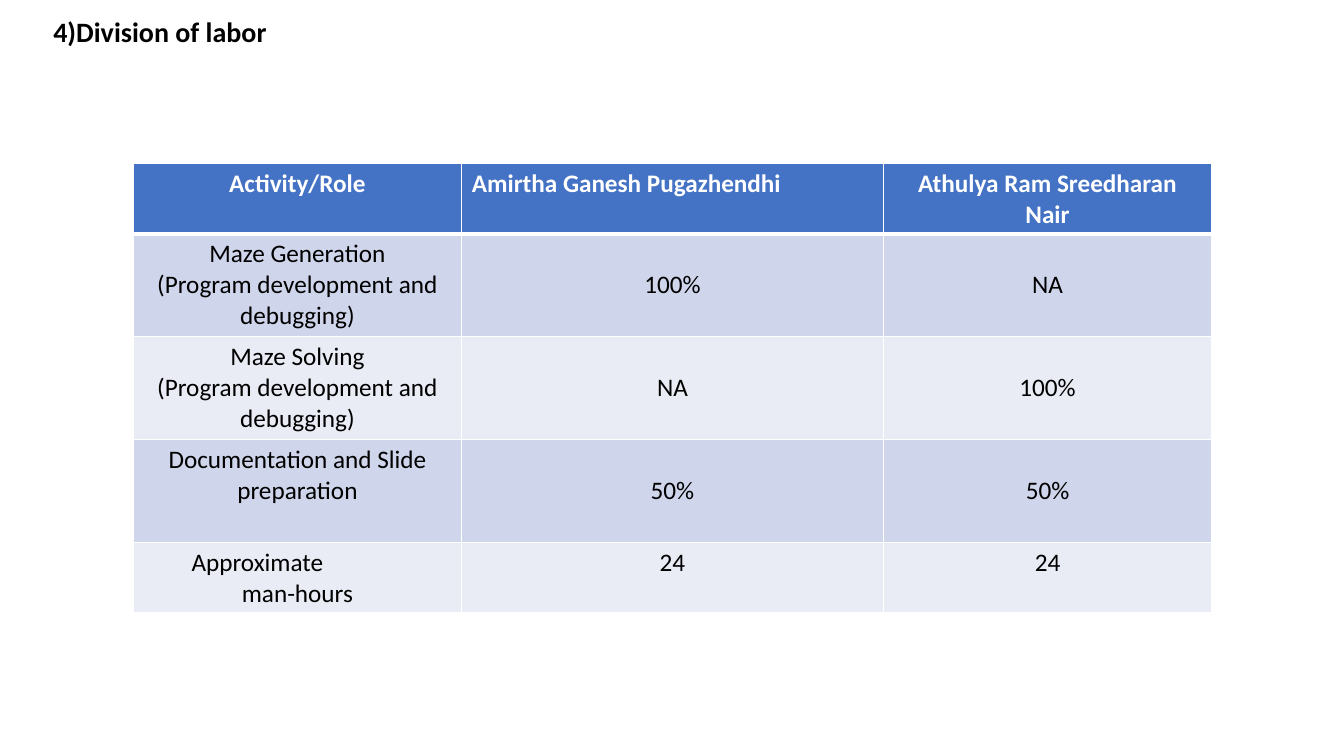
from lxml import etree
from pptx import Presentation, util as u
from pptx.dml.color import RGBColor
from pptx.enum import text
from pptx.oxml import ns


def style(p, color, **font):
    for name, value in {"name": "Calibri", "size": u.Pt(18), "bold": False, **font}.items():
        setattr(p.font, name, value)
    p.font.color.rgb = RGBColor.from_string(color)


def border(cell, bottom):
    """Draw white cell edges, 1 pt wide except for the given bottom width."""
    tcPr = cell._tc.get_or_add_tcPr()
    for i, (side, width) in enumerate([("L", 1), ("R", 1), ("T", 1), ("B", bottom)]):
        ln = etree.Element(ns.qn("a:ln" + side), w=str(u.Pt(width)))
        fill = etree.SubElement(ln, ns.qn("a:solidFill"))
        etree.SubElement(fill, ns.qn("a:srgbClr"), val="FFFFFF")
        tcPr.insert(i, ln)


prs = Presentation()
prs.slide_width, prs.slide_height = u.Inches(13.33), u.Inches(7.5)
s = prs.slides.add_slide(prs.slide_layouts[6])

title = s.shapes.add_textbox(*map(u.Inches, (0.43, 0.13, 12.48, 7.37)))
tf = title.text_frame
tf.word_wrap = True
p = tf.paragraphs[0]
p.text = "4)Division of labor"
p.line_spacing = 0.9
style(p, "000000", size=u.Pt(20), bold=True)

task = "(Program development and debugging)"
rows = [
    ("Activity/Role", "Amirtha Ganesh Pugazhendhi", "Athulya Ram Sreedharan Nair"),
    ("Maze Generation\n" + task, "100%", "NA"),
    ("Maze Solving\n" + task, "NA", "100%"),
    ("Documentation and Slide preparation", "50%", "50%"),
    ("Approximate\nman-hours", "24", "24"),
]
widths = [3.26, 4.18, 3.26]
heights = [0.7, 1.02, 1.02, 1.02, 0.7]
last = len(rows) - 1

frame = s.shapes.add_table(len(rows), len(widths), *map(
    u.Inches, (1.32, 1.62, sum(widths), sum(heights))))
table = frame.table
for column, width in zip(table.columns, widths):
    column.width = u.Inches(width)
for row, height in zip(table.rows, heights):
    row.height = u.Inches(height)

for r, labels in enumerate(rows):
    header = r == 0
    for c, label in enumerate(labels):
        cell = table.cell(r, c)
        cell.text = label
        cell.fill.solid()
        cell.fill.fore_color.rgb = RGBColor.from_string(
            "4472C4" if header else "CFD5EA" if r % 2 else "E9EBF5")
        border(cell, 3 if header else 1)
        if c and 0 < r < last:
            cell.vertical_anchor = text.MSO_ANCHOR.MIDDLE
        for p in cell.text_frame.paragraphs:
            p.alignment = text.PP_ALIGN.CENTER
            style(p, "FFFFFF" if header else "000000", bold=header)

table.cell(0, 1).text_frame.paragraphs[0].alignment = text.PP_ALIGN.LEFT
p = table.cell(last, 0).text_frame.paragraphs[0]
p.alignment = text.PP_ALIGN.LEFT
p._p.get_or_add_pPr().set("marL", str(u.Inches(0.48)))

prs.save("out.pptx")
